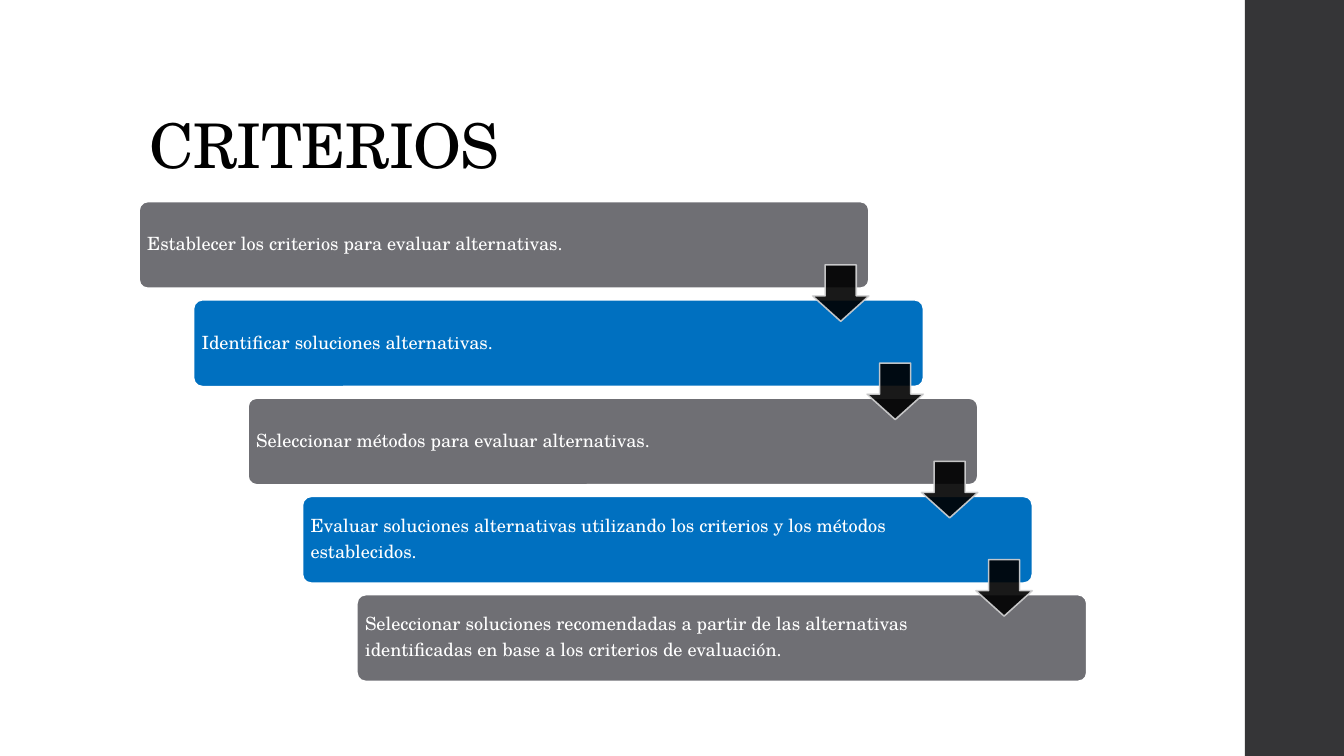
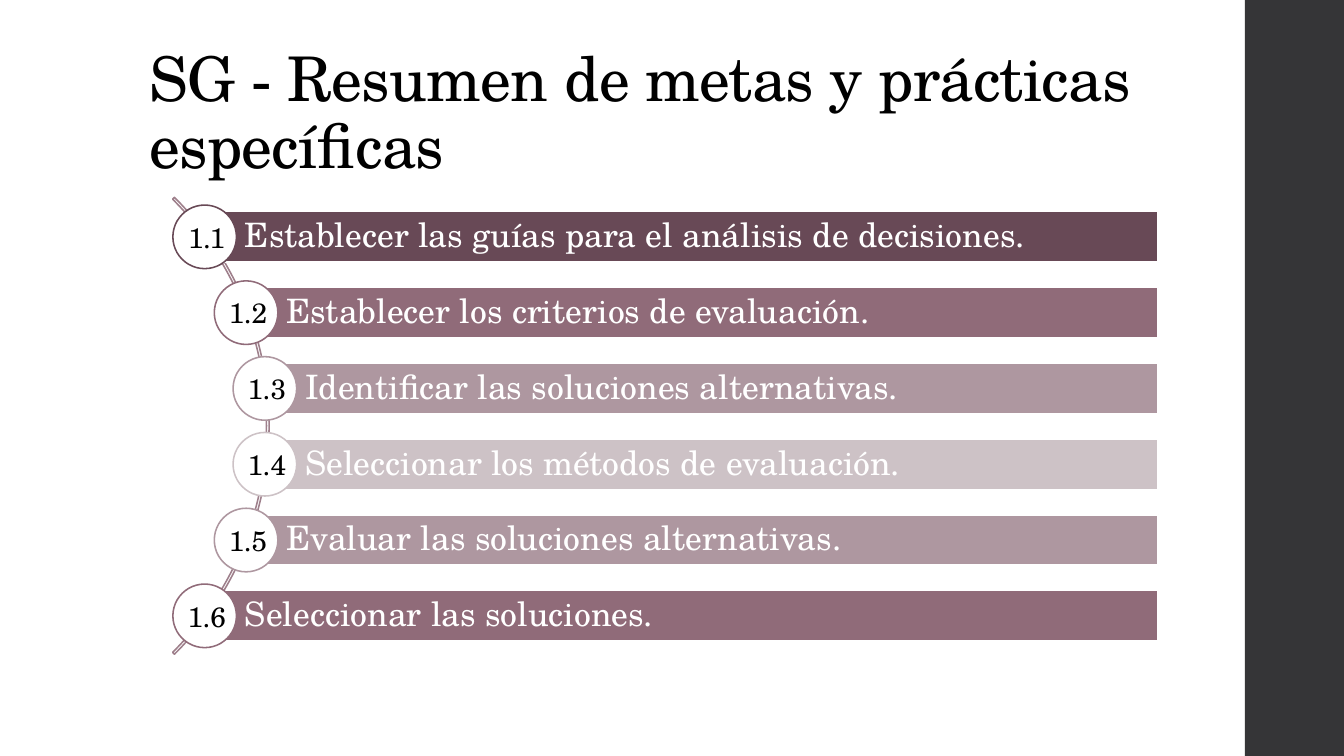
from lxml import etree
from pptx import Presentation
from pptx.dml.color import RGBColor
from pptx.enum import shapes as sh, text as tx
from pptx.oxml import ns
from pptx.util import Pt

# Colours and font
WHITE = RGBColor(0xFF, 0xFF, 0xFF)
BLACK = RGBColor(0x00, 0x00, 0x00)
DARK = RGBColor(0x35, 0x35, 0x37)
GREY = RGBColor(0x6F, 0x6F, 0x74)
BLUE = RGBColor(0x00, 0x70, 0xC0)
SILVER = RGBColor(0xD5, 0xD5, 0xD6)
PLUM = RGBColor(0x68, 0x49, 0x56)
MAUVE = RGBColor(0x90, 0x6B, 0x79)
ROSE = RGBColor(0xAE, 0x97, 0xA0)
PALE = RGBColor(0xCD, 0xC2, 0xC6)
ARC = RGBColor(0x9E, 0x7F, 0x8B)
FONT = "TeX Gyre Schola"
KIND = sh.MSO_SHAPE
LEFT, MID = tx.PP_ALIGN.LEFT, tx.PP_ALIGN.CENTER


def draw(slide, kind, box, fill, line, adjust=()):
    """Add a flat shape; box is left, top, width, height in points."""
    shape = slide.shapes.add_shape(kind, *[Pt(n) for n in box])
    shape.shadow.inherit = False
    for i, value in enumerate(adjust):
        shape.adjustments[i] = value
    for part, color in ((shape.fill, fill), (shape.line.fill, line)):
        if color is None:
            part.background()
        else:
            part.solid()
            part.fore_color.rgb = color
    if line is not None:
        shape.line.width = Pt(1.1)
    return shape


def write(frame, lines, size, color, align, frame_fmt, after=0, spacing=0.9):
    """Fill a text frame, one paragraph a line; return the runs."""
    for name, value in frame_fmt.items():
        setattr(frame, name, value)
    para_fmt = {"alignment": align, "line_spacing": spacing,
                "space_after": Pt(after)}
    font_fmt = {"name": FONT, "size": Pt(size)}
    runs = []
    for i, line in enumerate(lines):
        para = frame.add_paragraph() if i else frame.paragraphs[0]
        for name, value in para_fmt.items():
            setattr(para, name, value)
        run = para.add_run()
        run.text = line
        for name, value in font_fmt.items():
            setattr(run.font, name, value)
        run.font.color.rgb = color
        runs.append(run)
    return runs


# Deck and shared layout
deck = Presentation()
deck.slide_width, deck.slide_height = Pt(960), Pt(540)
layout = deck.slide_layouts[5]
head = layout.placeholders[0]
title_box = {"left": 99.4, "top": 28.8, "width": 763.2, "height": 104.4}
for name, value in title_box.items():
    setattr(head, name, Pt(value))

# Slides with their titles
title_fmt = {"vertical_anchor": tx.MSO_ANCHOR.BOTTOM, "word_wrap": True,
             "auto_size": tx.MSO_AUTO_SIZE.NONE}
pages = []
for title in ("CRITERIOS", "SG - Resumen de metas y prácticas específicas"):
    page = deck.slides.add_slide(layout)
    run, = write(page.shapes.title.text_frame, [title], 44, BLACK, LEFT, title_fmt)
    run.font._element.set("spc", "-50")
    pages.append(page)
steps, goals = pages

# Side band, moved to the layout so both slides show it
band = draw(steps, KIND.RECTANGLE, (889.2, 0, 72, 540), DARK, None)
layout.shapes.element.append(band.element)

# Slide 1: staircase of steps
STEPS = [
    ["Establecer los criterios para evaluar alternativas."],
    ["Identificar soluciones alternativas."],
    ["Seleccionar métodos para evaluar alternativas."],
    ["Evaluar soluciones alternativas utilizando los criterios y los métodos",
     "establecidos."],
    ["Seleccionar soluciones recomendadas a partir de las alternativas",
     "identificadas en base a los criterios de evaluación."],
]
LEFT_X, TOP_Y, STEP_W, STEP_H = 99.4, 144, 521.3, 61.9
SHIFT, DROP, ARROW = 38.9, 70.2, 40.3
step_fmt = {"vertical_anchor": tx.MSO_ANCHOR.MIDDLE, "word_wrap": True,
            "margin_left": Pt(4), "margin_right": Pt(4),
            "margin_top": Pt(4), "margin_bottom": Pt(4)}
for i, lines in enumerate(STEPS):
    box = (LEFT_X + i * SHIFT, TOP_Y + i * DROP, STEP_W, STEP_H)
    step = draw(steps, KIND.ROUNDED_RECTANGLE, box, BLUE if i % 2 else GREY,
                WHITE, [0.1])
    write(step.text_frame, lines, 13, WHITE, LEFT, step_fmt, after=4.5)

# Arrows between steps, 90 % opaque
for i in range(len(STEPS) - 1):
    box = (LEFT_X + STEP_W - ARROW + i * SHIFT, 189.2 + i * DROP, ARROW, ARROW)
    arrow = draw(steps, KIND.DOWN_ARROW, box, BLACK, SILVER, [0.55, 0.45])
    for color in arrow.element.spPr.iter(ns.qn("a:srgbClr")):
        etree.SubElement(color, ns.qn("a:alpha"), val="90000")

# Slide 2: arc with numbered bars
draw(goals, KIND.BLOCK_ARC, (-269.3, 73.4, 461.5, 461.5), None, ARC,
     [189, 27, 0.004])
GOALS = [
    ("Establecer las guías para el análisis de decisiones.", 146.2, PLUM),
    ("Establecer los criterios de evaluación.", 175.8, MAUVE),
    ("Identificar las soluciones alternativas.", 189.2, ROSE),
    ("Seleccionar los métodos de evaluación.", 189.2, PALE),
    ("Evaluar las soluciones alternativas.", 175.8, ROSE),
    ("Seleccionar las soluciones.", 146.2, MAUVE),
]
RIGHT_X, BAR_H, DISC = 827.3, 36, 45.4
bar_fmt = {"vertical_anchor": tx.MSO_ANCHOR.MIDDLE, "word_wrap": True,
           "margin_left": Pt(28.8), "margin_right": Pt(5),
           "margin_top": Pt(5), "margin_bottom": Pt(5)}
disc_fmt = {"vertical_anchor": tx.MSO_ANCHOR.MIDDLE, "word_wrap": False,
            "margin_left": Pt(3), "margin_right": 0,
            "margin_top": 0, "margin_bottom": 0}
for i, (goal, left, color) in enumerate(GOALS):
    top = 151.2 + i * 54.14
    bar = draw(goals, KIND.RECTANGLE, (left, top, RIGHT_X - left, BAR_H),
               color, WHITE)
    write(bar.text_frame, [goal], 24, WHITE, LEFT, bar_fmt)
    box = (left - DISC / 2, top + (BAR_H - DISC) / 2, DISC, DISC)
    disc = draw(goals, KIND.OVAL, box, WHITE, color)
    write(disc.text_frame, [f"1.{i + 1}"], 20, BLACK, MID, disc_fmt, spacing=1.0)

deck.save("out.pptx")
